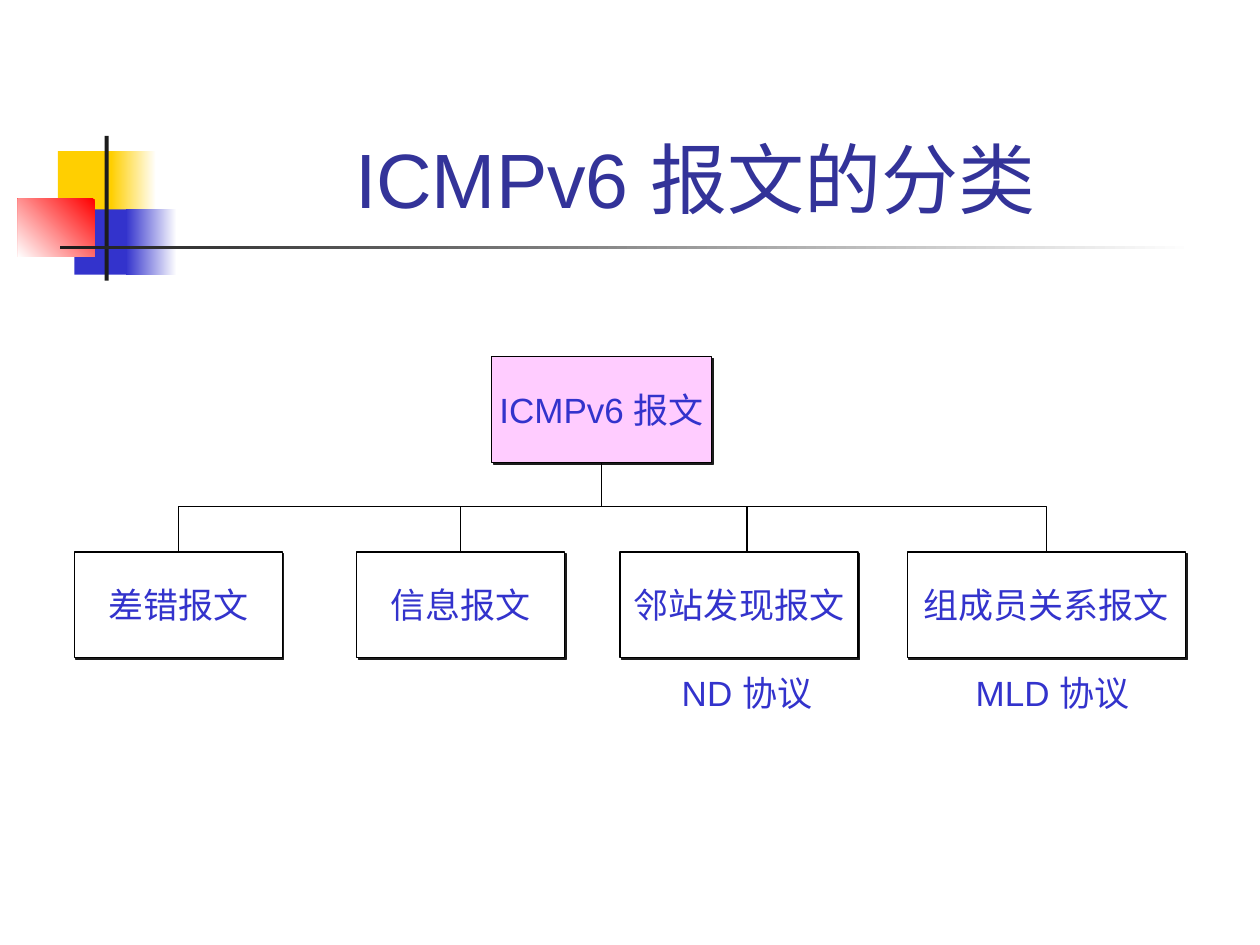
from lxml import etree
from pptx import Presentation
from pptx import util as u
from pptx.dml.color import RGBColor
from pptx.enum import shapes, text
from pptx.oxml.ns import qn

BODY = {"name": "Arial", "size": u.Pt(20)}
HEADING = {"name": "Arial", "size": u.Pt(44)}
FRAME = {
    "margin_left": u.Cm(0.25),
    "margin_right": u.Cm(0.25),
    "margin_top": u.Cm(0.13),
    "margin_bottom": u.Cm(0.13),
    "auto_size": text.MSO_AUTO_SIZE.NONE,
}


def rgb(value):
    """Return the colour for a hex string."""
    return RGBColor.from_string(value)


def cm(*values):
    """Return the given centimetre values as lengths."""
    return [u.Cm(value) for value in values]


def write(shape, wording, font, colour, **frame_format):
    """Write one centred line of formatted text into a shape."""
    frame = shape.text_frame
    for name, value in {**FRAME, **frame_format}.items():
        setattr(frame, name, value)
    paragraph = frame.paragraphs[0]
    paragraph.text = wording
    paragraph.alignment = text.PP_ALIGN.CENTER
    for name, value in font.items():
        setattr(paragraph.runs[0].font, name, value)
    paragraph.runs[0].font.color.rgb = rgb(colour)


def outline(shape):
    """Give a shape or connector the thin black line."""
    shape.line.color.rgb = rgb("000000")
    shape.line.width = u.Pt(0.75)


def add_hard_shadow(shape):
    """Give a shape a sharp dark shadow at its lower right."""
    shape.shadow.inherit = False
    effects = shape._element.spPr.find(qn("a:effectLst"))
    shadow = etree.SubElement(
        effects, qn("a:outerShdw"), dist=str(u.Pt(1.4)), dir=str(45 * 60000), algn="ctr", rotWithShape="0"
    )
    etree.SubElement(shadow, qn("a:srgbClr"), val="1C1C1C")


def add_block(slide, box, colours, angle=180):
    """Add a borderless rectangle with a solid or gradient fill."""
    block = slide.shapes.add_shape(shapes.MSO_SHAPE.RECTANGLE, *cm(*box))
    block.shadow.inherit = False
    block.line.fill.background()
    if len(colours) == 1:
        block.fill.solid()
        block.fill.fore_color.rgb = rgb(colours[0])
        return
    block.fill.gradient()
    block.fill.gradient_angle = angle
    for stop, colour in zip(block.fill.gradient_stops, colours):
        stop.color.rgb = rgb(colour)


def add_ornament(slide, left, top):
    """Add the coloured squares and the crossed bars."""
    blocks = [
        (0.81, 0.31, 1.22, 1.32, ["FFCF01"], 180),
        (1.88, 0.31, 0.91, 1.32, ["FFFFFF", "FFCF01"], 180),
        (1.14, 1.48, 1.17, 1.32, ["3333CC"], 180),
        (2.18, 1.48, 1.02, 1.32, ["FFFFFF", "3333CC"], 180),
        (0, 1.27, 1.55, 1.17, ["FF0000", "FFFFFF"], 225),
        (1.75, 0, 0.08, 2.92, ["1C1C1C"], 180),
        (0.86, 2.21, 22.86, 0.08, ["FFFFFF", "1C1C1C"], 180),
    ]
    for x, y, width, height, colours, angle in blocks:
        add_block(slide, (left + x, top + y, width, height), colours, angle)


def add_title(slide, left, top, width, height):
    """Place and format the slide title."""
    title = slide.shapes.title
    title.left, title.top, title.width, title.height = cm(left, top, width, height)
    write(title, "ICMPv6 报文的分类", HEADING, "333399",
          vertical_anchor=text.MSO_ANCHOR.BOTTOM, word_wrap=True)


def add_node(slide, box, label, fill):
    """Add one labelled box of the tree."""
    node = slide.shapes.add_shape(shapes.MSO_SHAPE.RECTANGLE, *cm(*box))
    node.fill.solid()
    node.fill.fore_color.rgb = rgb(fill)
    outline(node)
    add_hard_shadow(node)
    write(node, label, BODY, "3333CC", vertical_anchor=text.MSO_ANCHOR.MIDDLE, word_wrap=False)
    return node


def add_stem(slide, x, top, bottom):
    """Add a vertical connector of the tree."""
    stem = slide.shapes.add_connector(shapes.MSO_CONNECTOR.STRAIGHT, *cm(x, top, x, bottom))
    outline(stem)
    etree.SubElement(stem._element.spPr, qn("a:effectLst"))
    return stem


def add_bus(slide, first, last, top, bottom):
    """Add the bracket that joins the outer children."""
    builder = slide.shapes.build_freeform(*cm(first, bottom))
    corners = [(first, top), (last, top), (last, bottom)]
    builder.add_line_segments([cm(*corner) for corner in corners], close=False)
    bus = builder.convert_to_shape()
    bus.shadow.inherit = False
    bus.fill.background()
    outline(bus)


def add_tree(slide, left, top):
    """Add the message tree with its captions."""
    height, bus_top, child_top, caption_top = 2.13, top + 3.02, top + 3.94, top + 6.22
    root = add_node(slide, (left + 8.41, top, 4.44, height), "ICMPv6 报文", "FFCCFF")
    branches = [("差错报文", 0, 4.19), ("信息报文", 5.69, 4.19),
                ("邻站发现报文", 11, 4.8), ("组成员关系报文", 16.79, 5.61)]
    children = [add_node(slide, (left + x, child_top, width, height), label, "FFFFFF")
                for label, x, width in branches]
    first, second, third, last = [left + x + width / 2 for _, x, width in branches]
    third += 0.16
    add_bus(slide, first, last, bus_top, child_top)
    add_stem(slide, second, bus_top, child_top).end_connect(children[1], 0)
    add_stem(slide, third, bus_top, child_top)
    add_stem(slide, left + 10.63, top + height, bus_top).begin_connect(root, 2)
    for caption, x, width in [("ND 协议", 11.91, 3.3), ("MLD 协议", 17.83, 3.78)]:
        box = slide.shapes.add_textbox(*cm(left + x, caption_top, width, 1.12))
        write(box, caption, BODY, "3333CC", word_wrap=False,
              auto_size=text.MSO_AUTO_SIZE.SHAPE_TO_FIT_TEXT)


def main():
    """Build the slide and save it."""
    presentation = Presentation()
    presentation.slide_width, presentation.slide_height = cm(25.4, 19.05)
    slide = presentation.slides.add_slide(presentation.slide_layouts[5])
    add_ornament(slide, 0.36, 2.74)
    add_title(slide, 3.2, 0.58, 21.64, 4.06)
    add_tree(slide, 1.5, 7.19)
    presentation.save("out.pptx")


if __name__ == "__main__":
    main()
